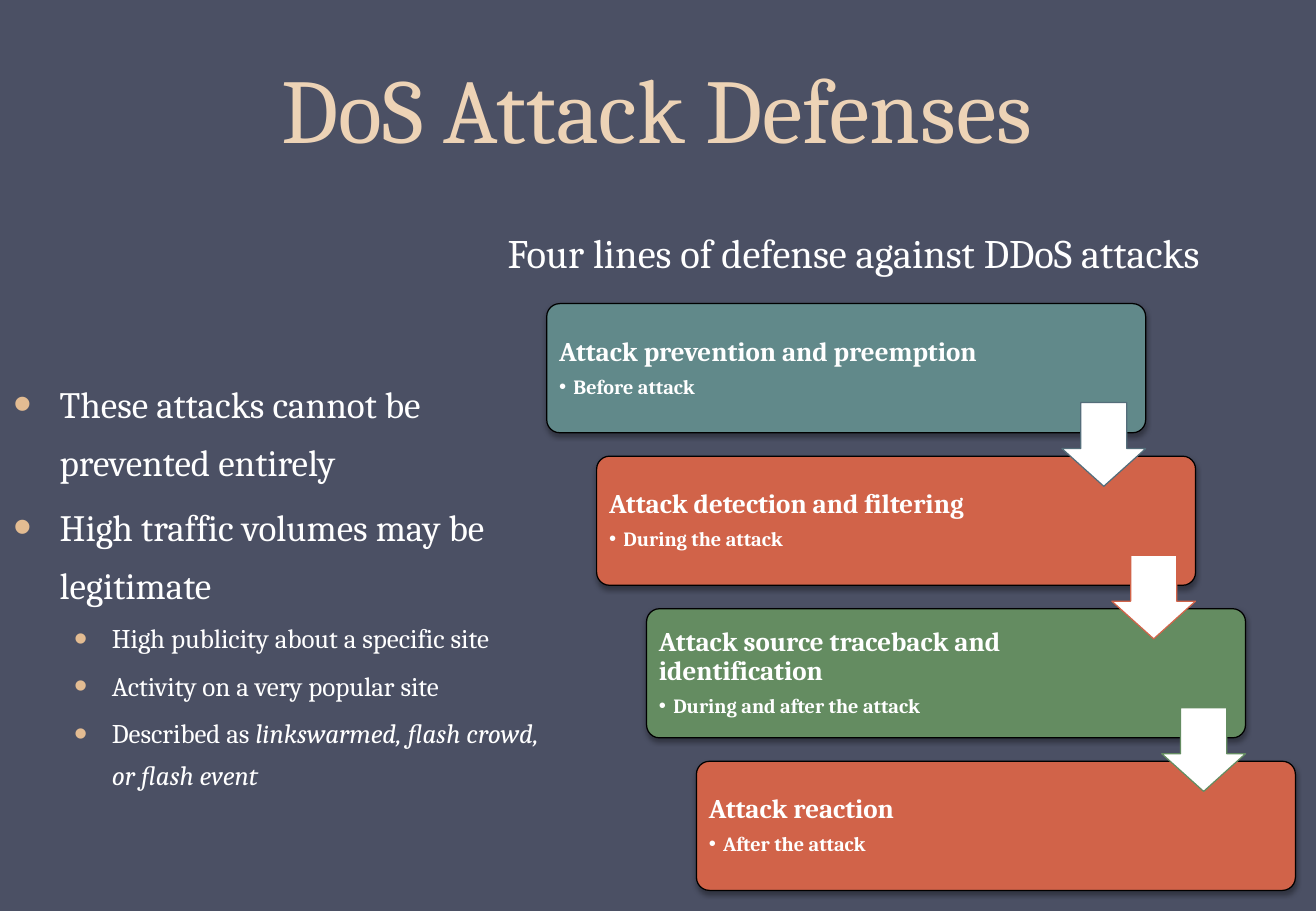
from lxml.etree import SubElement
from pptx import Presentation
from pptx.dml.color import RGBColor
from pptx.enum.shapes import MSO_SHAPE
from pptx.enum.text import MSO_ANCHOR, PP_ALIGN
from pptx.oxml.ns import qn
from pptx.util import Cm, Pt

COLORS = {
    "background": "4B5064", "title": "EDD3B6", "bullet": "E3BC92",
    "white": "FFFFFF", "black": "000000", "teal": "61898A",
    "orange": "D16349", "green": "648C61", "slate": "546D7A",
}
FONT = "Cambria"

# Text, indent level
POINTS = [
    ([("These attacks cannot be prevented entirely", False)], 0),
    ([("High traffic volumes may be legitimate", False)], 0),
    ([("High publicity about a specific site", False)], 1),
    ([("Activity on a very popular site", False)], 1),
    ([("Described as ", False),
      ("linkswarmed, flash crowd, or flash event", True)], 1),
]
# Size, left margin and hanging indent (cm), space before
LEVELS = [(22, 0.97, 0.97, 4.4), (16, 2.06, 0.79, 3.2)]

# Heading, timing, fill, outline of the arrow that leaves the card
DEFENSES = [
    ("Attack prevention and preemption", "Before attack", "teal", "slate"),
    ("Attack detection and filtering", "During the attack", "orange", "orange"),
    ("Attack source traceback and identification",
     "During and after the attack", "green", "green"),
    ("Attack reaction", "After the attack", "orange", None),
]


def rgb(name):
    return RGBColor.from_string(COLORS[name])


def add_run(paragraph, text, size, color="white", bold=False, italic=False):
    run = paragraph.add_run()
    run.text = text
    font = run.font
    font.name, font.size = FONT, Pt(size)
    font.bold, font.italic = bold, italic
    font.color.rgb = rgb(color)


def add_bullet(paragraph, left, hanging, color, percent):
    properties = paragraph._p.get_or_add_pPr()
    properties.set("marL", str(Cm(left)))
    properties.set("indent", str(-Cm(hanging)))
    bullet_color = SubElement(properties, qn("a:buClr"))
    SubElement(bullet_color, qn("a:srgbClr"), val=COLORS[color])
    SubElement(properties, qn("a:buSzPct"), val=str(percent * 1000))
    SubElement(properties, qn("a:buFont"), typeface="Arial")
    SubElement(properties, qn("a:buChar"), char="•")


def add_text_box(slide, left, top, width, height):
    box = slide.shapes.add_textbox(Cm(left), Cm(top), Cm(width), Cm(height))
    box.text_frame.word_wrap = True
    return box.text_frame


def add_block(slide, preset, box, fill, outline):
    shape = slide.shapes.add_shape(preset, *(Cm(length) for length in box))
    shape.shadow.inherit = False
    shape.fill.solid()
    shape.fill.fore_color.rgb = rgb(fill)
    shape.line.color.rgb = rgb(outline)
    shape.line.width = Pt(0.75)
    return shape


def add_soft_shadow(shape):
    effects = shape._element.spPr.find(qn("a:effectLst"))
    shadow = SubElement(effects, qn("a:outerShdw"), blurRad=str(Pt(3.1)),
                        dist=str(Pt(1.8)), dir="5400000", rotWithShape="0")
    color = SubElement(shadow, qn("a:srgbClr"), val=COLORS["black"])
    SubElement(color, qn("a:alpha"), val="35000")


def add_title(slide, left, top, width, height):
    frame = add_text_box(slide, left, top, width, height)
    frame.vertical_anchor = MSO_ANCHOR.BOTTOM
    paragraph = frame.paragraphs[0]
    paragraph.alignment = PP_ALIGN.CENTER
    paragraph.line_spacing = Pt(58)
    add_run(paragraph, "DoS Attack Defenses", 54, "title")


def add_points(slide, left, top, width, height):
    frame = add_text_box(slide, left, top, width, height)
    for index, (pieces, level) in enumerate(POINTS):
        paragraph = frame.add_paragraph() if index else frame.paragraphs[0]
        size, margin, hanging, before = LEVELS[level]
        paragraph.level = level
        add_bullet(paragraph, margin, hanging, "bullet", 140)
        paragraph.line_spacing = 1.3
        if index:
            paragraph.space_before = Pt(before)
        for text, italic in pieces:
            add_run(paragraph, text, size, italic=italic)


def add_card(slide, box, heading, timing, fill):
    card = add_block(slide, MSO_SHAPE.ROUNDED_RECTANGLE, box, fill, "black")
    card.adjustments[0] = 0.1
    add_soft_shadow(card)
    frame = card.text_frame
    frame.word_wrap = True
    frame.vertical_anchor = MSO_ANCHOR.MIDDLE
    frame.margin_left = frame.margin_top = frame.margin_bottom = Cm(0.18)
    frame.margin_right = Cm(2.97)
    title, detail = frame.paragraphs[0], frame.add_paragraph()
    detail.level = 1
    add_bullet(detail, 0.3, 0.3, "white", 100)
    for paragraph, text, size, after in ((title, heading, 16, 5.6),
                                         (detail, timing, 12, 1.8)):
        paragraph.alignment = PP_ALIGN.LEFT
        paragraph.line_spacing = 0.9
        paragraph.space_after = Pt(after)
        add_run(paragraph, text, size, bold=True)


def add_defense_staircase(slide, left, top, width, height):
    """Cards step down to the right; arrows lie over each pair of cards."""
    card_width, card_height, arrow_size = 12.52, 2.7, 1.75
    steps = len(DEFENSES) - 1
    step_x = (width - card_width) / steps
    step_y = (height - card_height) / steps
    corners = [(left + index * step_x, top + index * step_y)
               for index in range(len(DEFENSES))]
    for (x, y), (heading, timing, fill, _) in zip(corners, DEFENSES):
        add_card(slide, (x, y, card_width, card_height), heading, timing, fill)
    for (x, y), (*_, outline) in zip(corners[:-1], DEFENSES):
        box = (x + card_width - arrow_size, y + 2.07, arrow_size, arrow_size)
        arrow = add_block(slide, MSO_SHAPE.DOWN_ARROW, box, "white", outline)
        arrow.adjustments[0], arrow.adjustments[1] = 0.55, 0.45


def add_subtitle(slide, left, top, width, height):
    frame = add_text_box(slide, left, top, width, height)
    add_run(frame.paragraphs[0], "Four lines of defense against DDoS attacks", 24)


def main():
    presentation = Presentation()
    presentation.slide_width, presentation.slide_height = Cm(27.51), Cm(19.05)
    slide = presentation.slides.add_slide(presentation.slide_layouts[6])
    slide.background.fill.solid()
    slide.background.fill.fore_color.rgb = rgb("background")
    add_title(slide, 1.35, -0.69, 24.77, 4.19)
    add_points(slide, 0.03, 7.57, 11.84, 11.05)
    add_defense_staircase(slide, 11.43, 6.35, 15.65, 12.27)
    add_subtitle(slide, 10.36, 4.65, 17.15, 2.06)
    presentation.save("out.pptx")


if __name__ == "__main__":
    main()
